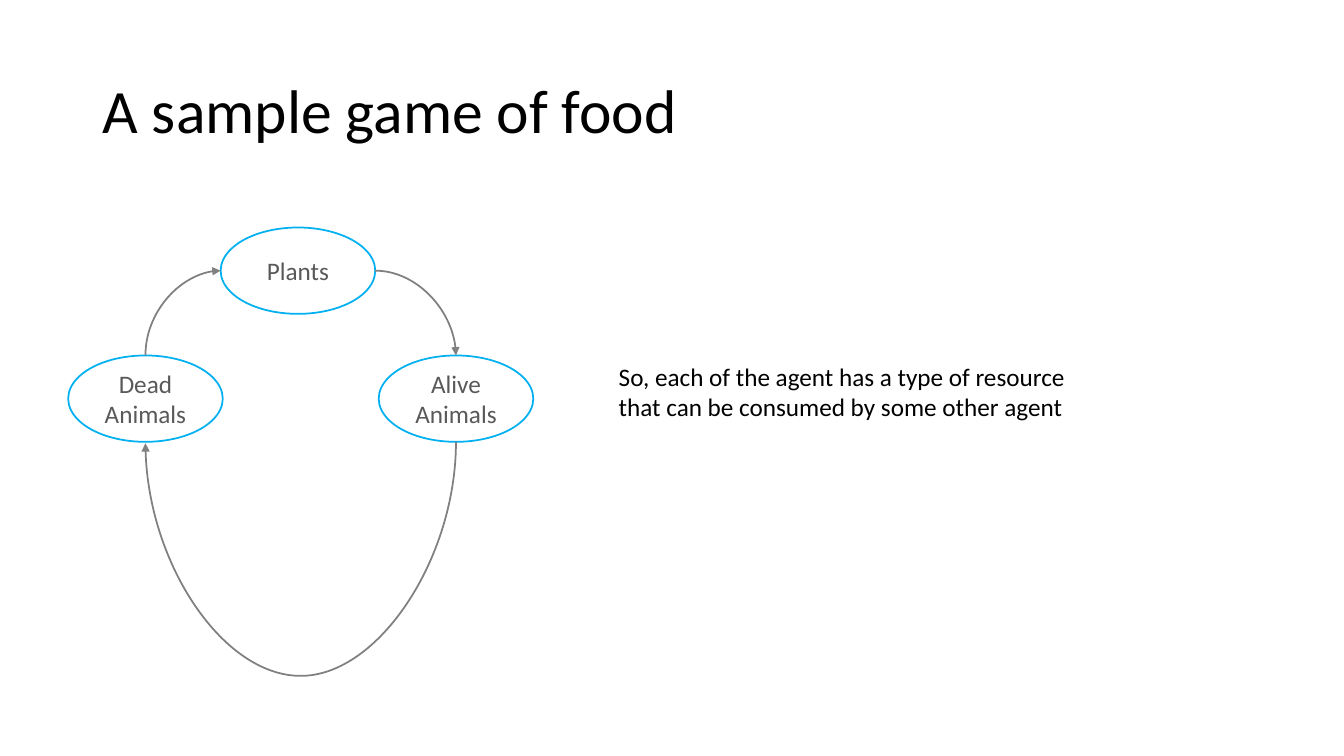
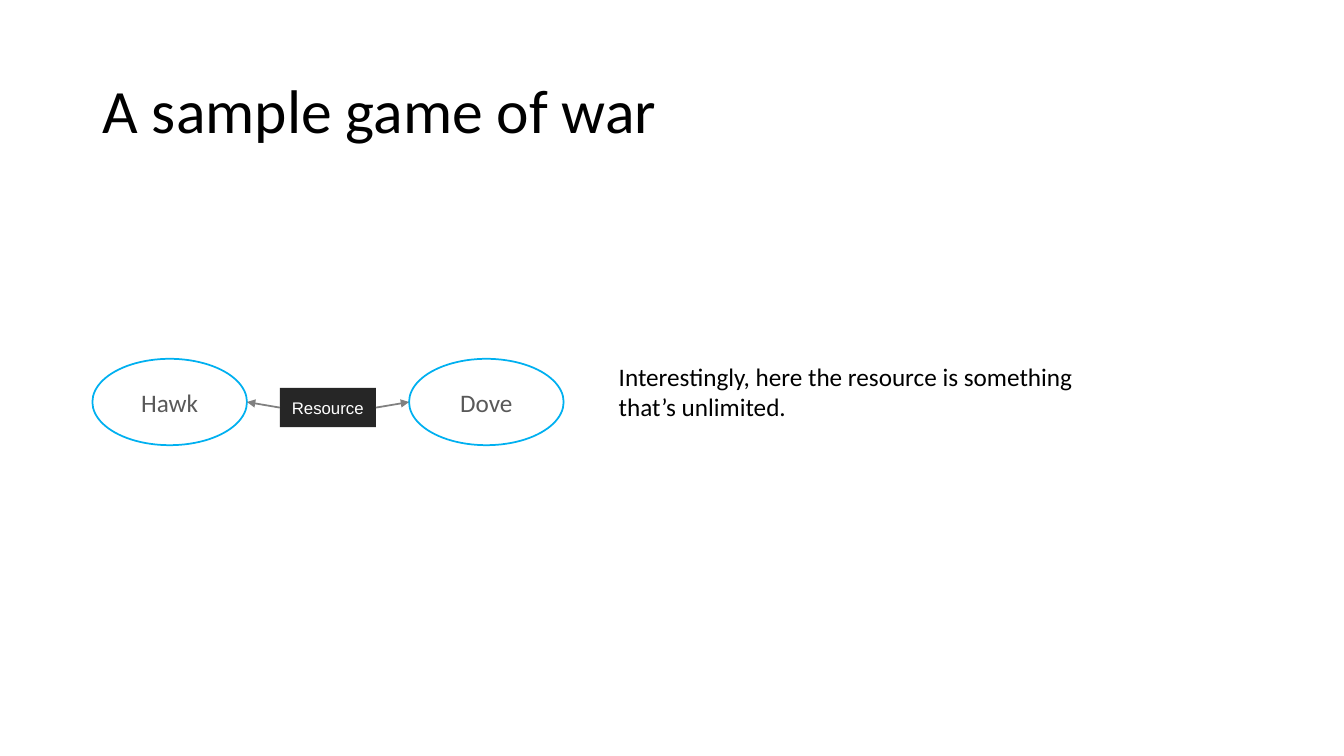
from lxml import etree
from pptx import Presentation
from pptx.dml.color import RGBColor
from pptx.enum import shapes, text
from pptx.oxml.ns import qn
from pptx.util import Pt

# Shared look
FONT = "Calibri"
BLACK, WHITE, GREY = "000000", "FFFFFF", "595959"
RING, ARROW, BOX = "00B0F0", "808080", "262626"
LINE_WIDTH = 1.25
AGENT_SIZE = (110.4, 61.7)
HALF_TURN_DEPTH = 168.5


def color(hex_string):
    return RGBColor.from_string(hex_string)


def write(paragraph, words, size, hex_string, font=FONT):
    run = paragraph.add_run()
    run.text = words
    run.font.size = Pt(size)
    run.font.name = font
    run.font.color.rgb = color(hex_string)


def add_titled_slide(presentation, words):
    slide = presentation.slides.add_slide(presentation.slide_layouts[5])
    title = slide.shapes.title
    title.left, title.top, title.width, title.height = map(Pt, (66, 28.75, 828, 104.4))
    frame = title.text_frame
    frame.auto_size = text.MSO_AUTO_SIZE.NONE
    frame.vertical_anchor = text.MSO_ANCHOR.MIDDLE
    paragraph = frame.paragraphs[0]
    paragraph.alignment = text.PP_ALIGN.LEFT
    paragraph.line_spacing = 0.9
    write(paragraph, words, 44, BLACK)
    return slide


def add_note(slide, words):
    box = slide.shapes.add_textbox(Pt(434.9), Pt(254.2), Pt(340), Pt(51))
    box.text_frame.word_wrap = True
    write(box.text_frame.paragraphs[0], words, 18, BLACK)


def add_node(slide, preset, left, top, size):
    shape = slide.shapes.add_shape(preset, Pt(left), Pt(top), Pt(size[0]), Pt(size[1]))
    shape.shadow.inherit = False
    frame = shape.text_frame
    frame.word_wrap = True
    frame.vertical_anchor = text.MSO_ANCHOR.MIDDLE
    frame.paragraphs[0].alignment = text.PP_ALIGN.CENTER
    return shape


def add_agent(slide, words, left, top):
    agent = add_node(slide, shapes.MSO_SHAPE.OVAL, left, top, AGENT_SIZE)
    agent.fill.background()
    agent.line.color.rgb = color(RING)
    agent.line.width = Pt(LINE_WIDTH)
    write(agent.text_frame.paragraphs[0], words, 18, GREY)
    return agent


def add_resource(slide, words, left, top):
    resource = add_node(slide, shapes.MSO_SHAPE.RECTANGLE, left, top, (68.6, 28.1))
    resource.fill.solid()
    resource.fill.fore_color.rgb = color(BOX)
    resource.line.fill.background()
    write(resource.text_frame.paragraphs[0], words, 12, WHITE, "Arial")
    return resource


def side_point(shape, side):
    across = {"left": 0, "right": 2}.get(side, 1)
    down = {"top": 0, "bottom": 2}.get(side, 1)
    return (shape.left + shape.width * across // 2,
            shape.top + shape.height * down // 2)


def add_arrow(slide, start, end, kind=shapes.MSO_CONNECTOR.STRAIGHT):
    connector = slide.shapes.add_connector(kind, *start, *end)
    connector.line.color.rgb = color(ARROW)
    connector.line.width = Pt(LINE_WIDTH)
    properties = connector.element.spPr
    line = properties.find(qn("a:ln"))
    etree.SubElement(line, qn("a:tailEnd"), type="triangle")
    etree.SubElement(properties, qn("a:effectLst"))
    return connector


def add_curve(slide, source, source_side, target, target_side):
    start, end = side_point(source, source_side), side_point(target, target_side)
    connector = add_arrow(slide, start, end, shapes.MSO_CONNECTOR.CURVE)
    geometry = connector.element.spPr.find(qn("a:prstGeom"))
    if source_side == target_side:
        # The bend is measured against a box one point deep
        connector.height = Pt(1)
        guides = geometry.find(qn("a:avLst"))
        etree.SubElement(guides, qn("a:gd"), name="adj1",
                         fmla=f"val {round(HALF_TURN_DEPTH * 100000)}")
    else:
        geometry.set("prst", "curvedConnector2")

    # A curve that leaves vertically is a quarter-turned box
    if source_side in ("top", "bottom"):
        width, height = connector.width, connector.height
        connector.left += (width - height) // 2
        connector.top += (height - width) // 2
        connector.width, connector.height = height, width
        transform = connector.element.spPr.find(qn("a:xfrm"))
        transform.set("rot", "5400000")
        transform.set("flipH", str(int(end[1] < start[1])))
        transform.set("flipV", str(int(end[0] > start[0])))


def build_food_slide(presentation):
    slide = add_titled_slide(presentation, "A sample game of food")
    plants = add_agent(slide, "Plants", 157.6, 162.5)
    alive = add_agent(slide, "Alive Animals", 270.5, 253.9)
    dead = add_agent(slide, "Dead Animals", 48.7, 253.9)
    add_curve(slide, plants, "right", alive, "top")
    add_curve(slide, dead, "top", plants, "left")
    add_curve(slide, alive, "bottom", dead, "bottom")
    add_note(slide, "So, each of the agent has a type of resource "
                    "that can be consumed by some other agent")


def build_war_slide(presentation):
    slide = add_titled_slide(presentation, "A sample game of war")
    dove = add_agent(slide, "Dove", 292.2, 256.3)
    hawk = add_agent(slide, "Hawk", 66, 256.3)
    add_note(slide, "Interestingly, here the resource is something that’s unlimited.")
    resource = add_resource(slide, "Resource", 199.9, 277.1)
    for agent, near, far in ((hawk, "left", "right"), (dove, "right", "left")):
        add_arrow(slide, side_point(resource, near), side_point(agent, far))


def main():
    presentation = Presentation()
    presentation.slide_width, presentation.slide_height = Pt(960), Pt(540)
    build_food_slide(presentation)
    build_war_slide(presentation)
    presentation.save("out.pptx")


main()
